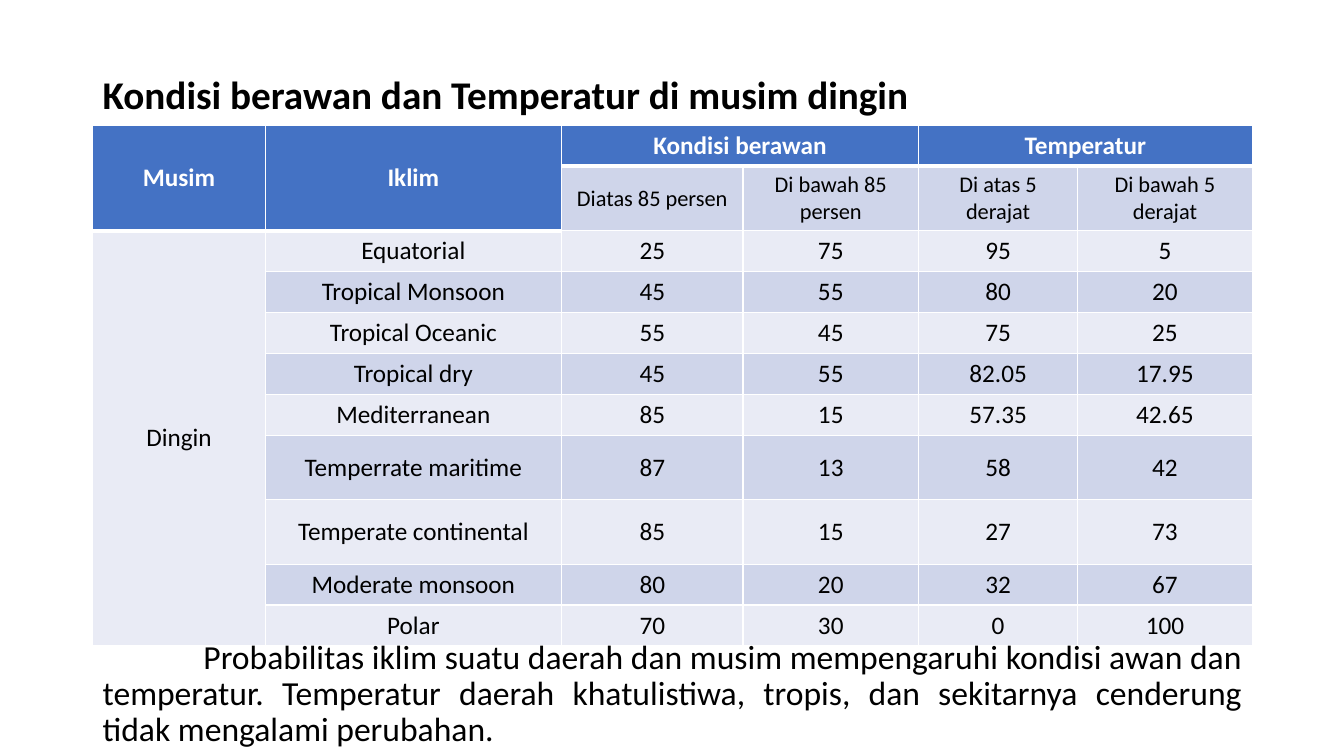
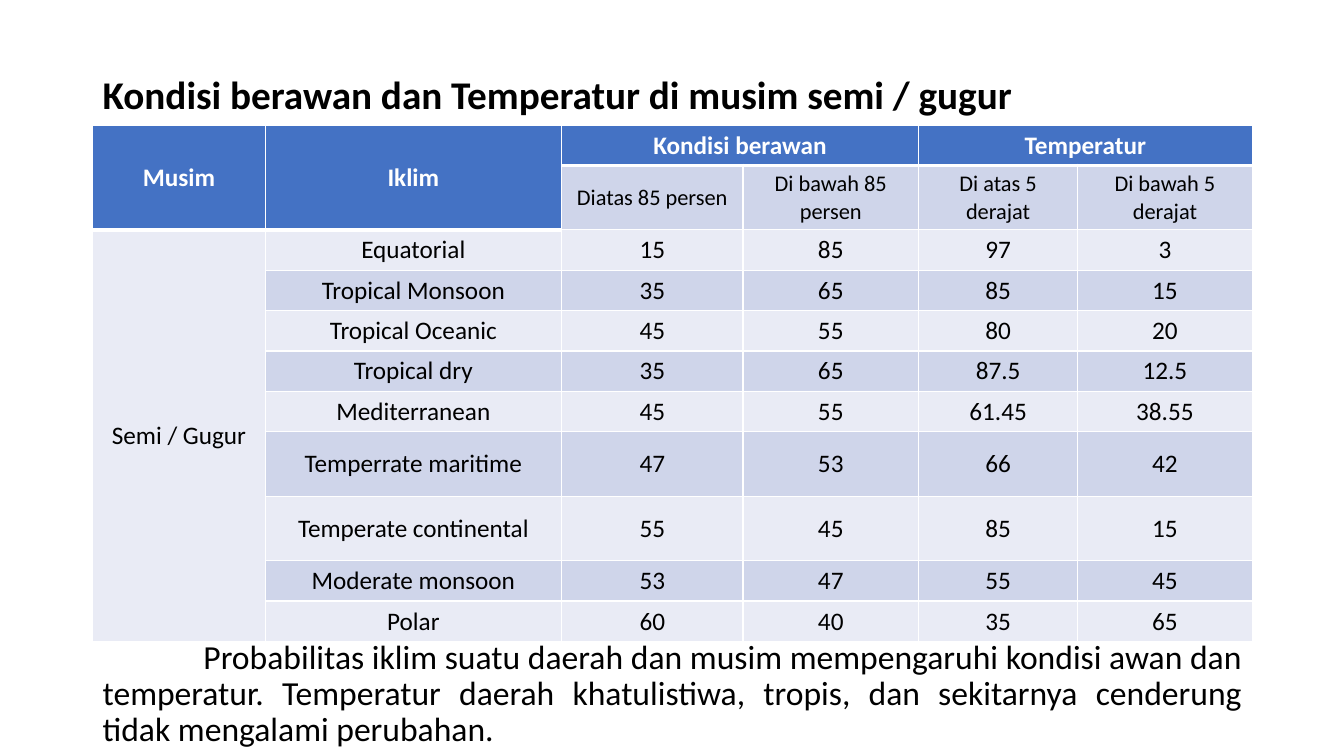
"""Build two slides of cloud and temperature conditions by climate and season."""
from dataclasses import dataclass

from lxml.etree import SubElement
from pptx import Presentation
from pptx.dml.color import RGBColor
from pptx.enum.text import MSO_ANCHOR as Anchor, PP_ALIGN as Align
from pptx.oxml.ns import qn
from pptx.slide import Slide
from pptx.table import Table, _Cell as Cell
from pptx.util import Inches, Pt

FONT = "Calibri"
BLACK, WHITE = "000000", "FFFFFF"
HEADER, BAND_DARK, BAND_LIGHT = "4472C4", "CFD5EA", "E9EBF5"
LEFT, WIDTH = 0.92, 11.5
TABLE_TOP = 1.24
COLUMN_WIDTHS = (1.71, 2.94, 1.8, 1.74, 1.58, 1.73)
ROW_HEIGHT, TALL_ROW_HEIGHT = 0.4, 0.64
TALL_ROWS = (1, 7, 8)
MERGES = ((0, 0, 1, 0), (0, 1, 1, 1), (0, 2, 0, 3), (0, 4, 0, 5), (2, 0, 10, 0))
HEADINGS = [
    ("Musim", "Iklim", "Kondisi berawan", "", "Temperatur", ""),
    ("", "", "Diatas 85 persen", "Di bawah 85 persen", "Di atas 5 derajat", "Di bawah 5 derajat"),
]
CLIMATES = (
    "Equatorial", "Tropical Monsoon", "Tropical Oceanic", "Tropical dry", "Mediterranean",
    "Temperrate maritime", "Temperate continental", "Moderate monsoon", "Polar",
)
CLOSING = (
    "Probabilitas iklim suatu daerah dan musim mempengaruhi kondisi awan dan temperatur. "
    "Temperatur daerah khatulistiwa, tropis, dan sekitarnya cenderung tidak mengalami perubahan."
)


@dataclass(frozen=True)
class Season:
    """A season's title, its label in the table and one row of values per climate."""

    title: str
    label: str
    values: tuple[tuple[float, float, float, float], ...]


SEASONS = (
    Season("Kondisi berawan dan Temperatur di musim dingin", "Dingin", (
        (25, 75, 95, 5),
        (45, 55, 80, 20),
        (55, 45, 75, 25),
        (45, 55, 82.05, 17.95),
        (85, 15, 57.35, 42.65),
        (87, 13, 58, 42),
        (85, 15, 27, 73),
        (80, 20, 32, 67),
        (70, 30, 0, 100),
    )),
    Season("Kondisi berawan dan Temperatur di musim semi / gugur", "Semi / Gugur", (
        (15, 85, 97, 3),
        (35, 65, 85, 15),
        (45, 55, 80, 20),
        (35, 65, 87.5, 12.5),
        (45, 55, 61.45, 38.55),
        (47, 53, 66, 42),
        (55, 45, 85, 15),
        (53, 47, 55, 45),
        (60, 40, 35, 65),
    )),
)


def color(value: str) -> RGBColor:
    """Turn a hex string into a colour."""
    return RGBColor.from_string(value)


def style_text(para, size: float, bold: bool, ink: str, align: Align) -> None:
    """Set a paragraph's font and alignment."""
    para.alignment = align
    para.font.name = FONT
    para.font.size = Pt(size)
    para.font.bold = bold
    para.font.color.rgb = color(ink)


def add_text(slide: Slide, text: str, top: float, height: float, size: float,
             bold: bool = False, indent: float = 0) -> None:
    """Add a justified paragraph across the content width."""
    box = slide.shapes.add_textbox(Inches(LEFT), Inches(top), Inches(WIDTH), Inches(height))
    box.text_frame.word_wrap = True
    para = box.text_frame.paragraphs[0]
    para.text = text
    para.line_spacing = 0.9
    style_text(para, size, bold, BLACK, Align.JUSTIFY)
    if indent:
        para._p.get_or_add_pPr().set("indent", str(Inches(indent)))


def is_header(row: int, column: int) -> bool:
    """Tell whether a cell belongs to the blue header."""
    return row == 0 or (row == 1 and column < 2)


def cell_fill(row: int, column: int) -> str:
    """Choose a cell's fill from its place in the table."""
    if is_header(row, column):
        return HEADER
    return BAND_DARK if column and row % 2 else BAND_LIGHT


def add_borders(cell: Cell, top: float, bottom: float) -> None:
    """Give a cell white borders, with the top and bottom widths in points."""
    properties = cell._tc.get_or_add_tcPr()
    for side, width in (("L", 1), ("R", 1), ("T", top), ("B", bottom)):
        line = SubElement(properties, qn(f"a:ln{side}"), w=str(Pt(width)))
        fill = SubElement(line, qn("a:solidFill"))
        SubElement(fill, qn("a:srgbClr"), val=WHITE)


def fill_cell(table: Table, row: int, column: int, text: str) -> None:
    """Write and format one table cell."""
    cell = table.cell(row, column)
    header = is_header(row, column)
    below_header = not header and is_header(row - 1, column)
    add_borders(cell, 3 if below_header else 1, 3 if header else 1)
    cell.fill.solid()
    cell.fill.fore_color.rgb = color(cell_fill(row, column))
    cell.vertical_anchor = Anchor.MIDDLE
    para = cell.text_frame.paragraphs[0]
    para.text = text
    size = 16 if row == 1 and not header else 18
    style_text(para, size, header, WHITE if header else BLACK, Align.CENTER)


def add_climate_table(slide: Slide, season: Season) -> None:
    """Add the table of a season's values by climate."""
    labels = (season.label,) + ("",) * (len(CLIMATES) - 1)
    grid = HEADINGS + [
        (label, climate, *map(str, values))
        for label, climate, values in zip(labels, CLIMATES, season.values)
    ]
    heights = [TALL_ROW_HEIGHT if row in TALL_ROWS else ROW_HEIGHT for row in range(len(grid))]
    table = slide.shapes.add_table(
        len(grid), len(COLUMN_WIDTHS), Inches(LEFT), Inches(TABLE_TOP),
        Inches(WIDTH), Inches(sum(heights)),
    ).table
    for column, width in zip(table.columns, COLUMN_WIDTHS):
        column.width = Inches(width)
    for row, height in zip(table.rows, heights):
        row.height = Inches(height)
    for row, texts in enumerate(grid):
        for column, text in enumerate(texts):
            fill_cell(table, row, column, text)
    for top, left, bottom, right in MERGES:
        table.cell(top, left).merge(table.cell(bottom, right))


def main() -> None:
    """Build and save the deck."""
    deck = Presentation()
    deck.slide_width, deck.slide_height = Inches(13.33), Inches(7.5)
    for season in SEASONS:
        slide = deck.slides.add_slide(deck.slide_layouts[6])
        add_climate_table(slide, season)
        add_text(slide, season.title, top=0.7, height=0.54, size=28, bold=True)
        add_text(slide, CLOSING, top=6.3, height=1.2, size=24, indent=1)
    deck.save("out.pptx")


if __name__ == "__main__":
    main()
